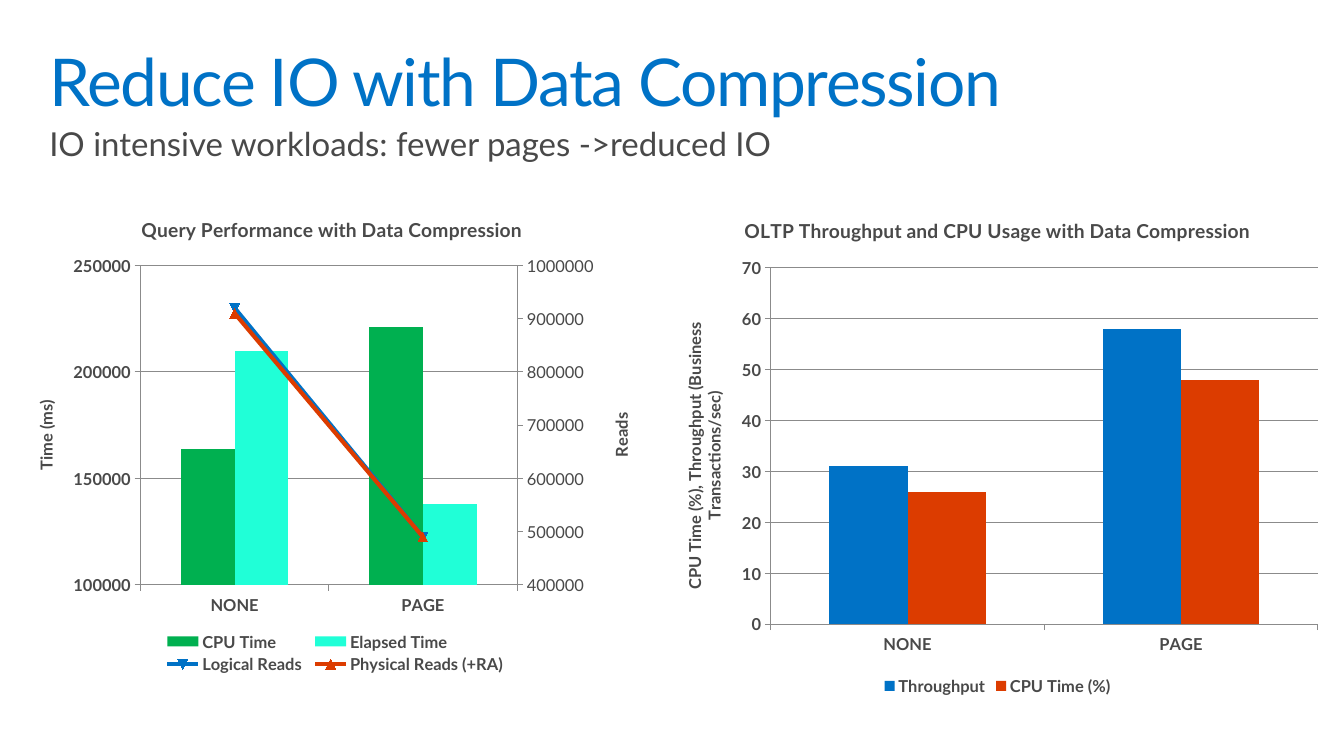
from copy import deepcopy

from lxml.etree import SubElement
from pptx import Presentation
from pptx.chart.axis import ValueAxis
from pptx.chart.data import CategoryChartData
from pptx.dml.color import RGBColor
from pptx.enum.chart import XL_CHART_TYPE, XL_LEGEND_POSITION, XL_TICK_MARK
from pptx.enum.text import MSO_ANCHOR, MSO_AUTO_SIZE, PP_ALIGN
from pptx.oxml.ns import qn
from pptx.util import Inches, Pt

BLUE = RGBColor(0x00, 0x72, 0xC6)
ORANGE = RGBColor(0xDC, 0x3C, 0x00)
GREEN = RGBColor(0x00, 0xB0, 0x50)
AQUA = RGBColor(0x20, 0xFF, 0xD7)
GREY = RGBColor(0x49, 0x49, 0x49)
LINE_GREY = RGBColor(0x8B, 0x8B, 0x8B)
FONT = "Lato"


def add_label(frame, text, size, color=GREY, bold=None):
    """Write one run into the first paragraph of a text frame."""
    para = frame.paragraphs[0]
    span = para.add_run()
    span.text = text
    span.font.name = FONT
    span.font.size = Pt(size)
    span.font.bold = bold
    span.font.color.rgb = color
    return para, span


def set_layout(element, position, fractions, inner=False):
    """Place a plot area or legend by fractions of the chart."""
    for automatic in element.findall(qn("c:layout")):
        element.remove(automatic)
    layout = element.makeelement(qn("c:layout"))
    element.insert(position, layout)
    manual = SubElement(layout, qn("c:manualLayout"))
    if inner:
        SubElement(manual, qn("c:layoutTarget"), val="inner")
    for side in ("xMode", "yMode"):
        SubElement(manual, qn(f"c:{side}"), val="edge")
    for side, fraction in zip("xywh", fractions):
        SubElement(manual, qn(f"c:{side}"), val=str(fraction))


deck = Presentation()
deck.slide_width = Inches(13.6)
deck.slide_height = Inches(7.65)
page = deck.slides.add_slide(deck.slide_layouts[5])

# Title and subtitle
title = page.shapes.title
title.left, title.top, title.width, title.height = Inches(0.4), Inches(0.4), Inches(13), Inches(1)
subtitle = page.shapes.add_textbox(Inches(0.4), Inches(1.2), Inches(11.89), Inches(0.57))
for box, text, size, color in (
    (title, "Reduce IO with Data Compression", 48, BLUE),
    (subtitle, "IO intensive workloads: fewer pages ->reduced IO", 24, GREY),
):
    frame = box.text_frame
    frame.word_wrap = True
    frame.auto_size = MSO_AUTO_SIZE.NONE
    frame.vertical_anchor = MSO_ANCHOR.TOP
    frame.margin_left = frame.margin_right = frame.margin_top = frame.margin_bottom = Inches(0.1)
    para, span = add_label(frame, text, size, color)
    para.alignment = PP_ALIGN.LEFT
    para.line_spacing = 0.9
    if box is title:
        span.font._element.set("spc", "-100")
    else:
        para.space_after = Pt(6.1)
        frame.auto_size = MSO_AUTO_SIZE.SHAPE_TO_FIT_TEXT

# Both column charts
chart_specs = [
    (
        "Query Performance with Data Compression", "Time (ms)",
        (0.13, 2, 6.46, 4.9), (0.2, 0.14, 0.59, 0.66),
        [("CPU Time", (164000, 221000), GREEN), ("Elapsed Time", (210000, 138000), AQUA),
         ("Logical Reads", (920000, 490000), BLUE), ("Physical Reads (+RA)", (910000, 490000), ORANGE)],
    ),
    (
        "OLTP Throughput and CPU Usage with Data Compression",
        "CPU Time (%), Throughput (Business Transactions/sec)",
        (6.72, 2, 6.75, 5.08), (0.16, 0.14, 0.82, 0.71),
        [("Throughput", (31, 58), BLUE), ("CPU Time (%)", (26, 48), ORANGE)],
    ),
]
charts = []
for heading, axis_label, place, plot_place, series_specs in chart_specs:
    data = CategoryChartData(number_format="General")
    data.categories = ["NONE", "PAGE"]
    for name, values, color in series_specs:
        data.add_series(name, values)
    chart = page.shapes.add_chart(
        XL_CHART_TYPE.COLUMN_CLUSTERED, *[Inches(length) for length in place], data
    ).chart
    charts.append(chart)
    chart.font.name = FONT
    chart.font.size = Pt(10)
    chart.font.color.rgb = GREY
    chart.has_title = True
    add_label(chart.chart_title.text_frame, heading, 14, bold=True)
    chart.chart_title.include_in_layout = False
    chart.has_legend = True
    chart.legend.position = XL_LEGEND_POSITION.BOTTOM
    chart.legend.include_in_layout = False
    chart.legend.font.size = Pt(12)
    chart.legend.font.bold = True
    for axis in (chart.category_axis, chart.value_axis):
        axis.major_tick_mark = XL_TICK_MARK.OUTSIDE
        axis.minor_tick_mark = XL_TICK_MARK.NONE
        axis.tick_labels.font.size = Pt(12)
        axis.tick_labels.font.bold = True
        axis.format.line.color.rgb = LINE_GREY
    chart.value_axis.major_gridlines.format.line.color.rgb = LINE_GREY
    add_label(chart.value_axis.axis_title.text_frame, axis_label, 12, bold=True)
    columns = chart.plots[0]
    columns.gap_width = 150
    columns.overlap = 0
    columns.vary_by_categories = False
    for series, (name, values, color) in zip(columns.series, series_specs):
        series.format.fill.solid()
        series.format.fill.fore_color.rgb = color
    set_layout(chart._chartSpace.chart.plotArea, 0, plot_place, inner=True)

# Query chart: scale and two-row legend
query_chart = charts[0]
time_axis = query_chart.value_axis
time_axis.minimum_scale, time_axis.maximum_scale = 100000, 250000
time_axis.major_unit = 50000
set_layout(query_chart.legend._element, 1, (0.23, 0.89, 0.55, 0.1))

# Query chart: the reads become lines
plot_area = query_chart._chartSpace.chart.plotArea
bars = plot_area.find(qn("c:barChart"))
lines = plot_area.makeelement(qn("c:lineChart"))
bars.addnext(lines)
SubElement(lines, qn("c:grouping"), val="standard")
SubElement(lines, qn("c:varyColors"), val="0")
for reads in bars.findall(qn("c:ser"))[2:]:
    for column_setting in reads.findall(qn("c:invertIfNegative")) + reads.findall(qn("c:spPr")):
        reads.remove(column_setting)
    lines.append(reads)
SubElement(lines, qn("c:marker"), val="1")
for axis_id in ("50010", "50020"):
    SubElement(lines, qn("c:axId"), val=axis_id)
for series, color in zip(query_chart.plots[1].series, (BLUE, ORANGE)):
    series.smooth = False
    series.format.line.color.rgb = color
    series.format.line.width = Pt(3)
    series.marker.size = 7
    series.marker.format.fill.solid()
    series.marker.format.fill.fore_color.rgb = color
    series.marker.format.line.color.rgb = color

# Query chart: second pair of axes, with the category one switched off
category_element = query_chart.category_axis._element
value_element = time_axis._element
reads_element = deepcopy(value_element)
hidden_element = deepcopy(category_element)
value_element.addnext(reads_element)
reads_element.addnext(hidden_element)
for element, own_id, cross_id in ((hidden_element, "50010", "50020"), (reads_element, "50020", "50010")):
    element.find(qn("c:axId")).set("val", own_id)
    element.find(qn("c:crossAx")).set("val", cross_id)
hidden_element.find(qn("c:delete")).set("val", "1")
reads_element.find(qn("c:axPos")).set("val", "r")
reads_element.find(qn("c:crosses")).set("val", "max")
reads_axis = ValueAxis(reads_element)
reads_axis.has_major_gridlines = False
reads_axis.minimum_scale, reads_axis.maximum_scale = 400000, 1000000
reads_axis.major_unit = 100000
reads_axis.tick_labels.font.bold = False
reads_axis.axis_title.text_frame.paragraphs[0].runs[0].text = "Reads"

deck.save("out.pptx")
